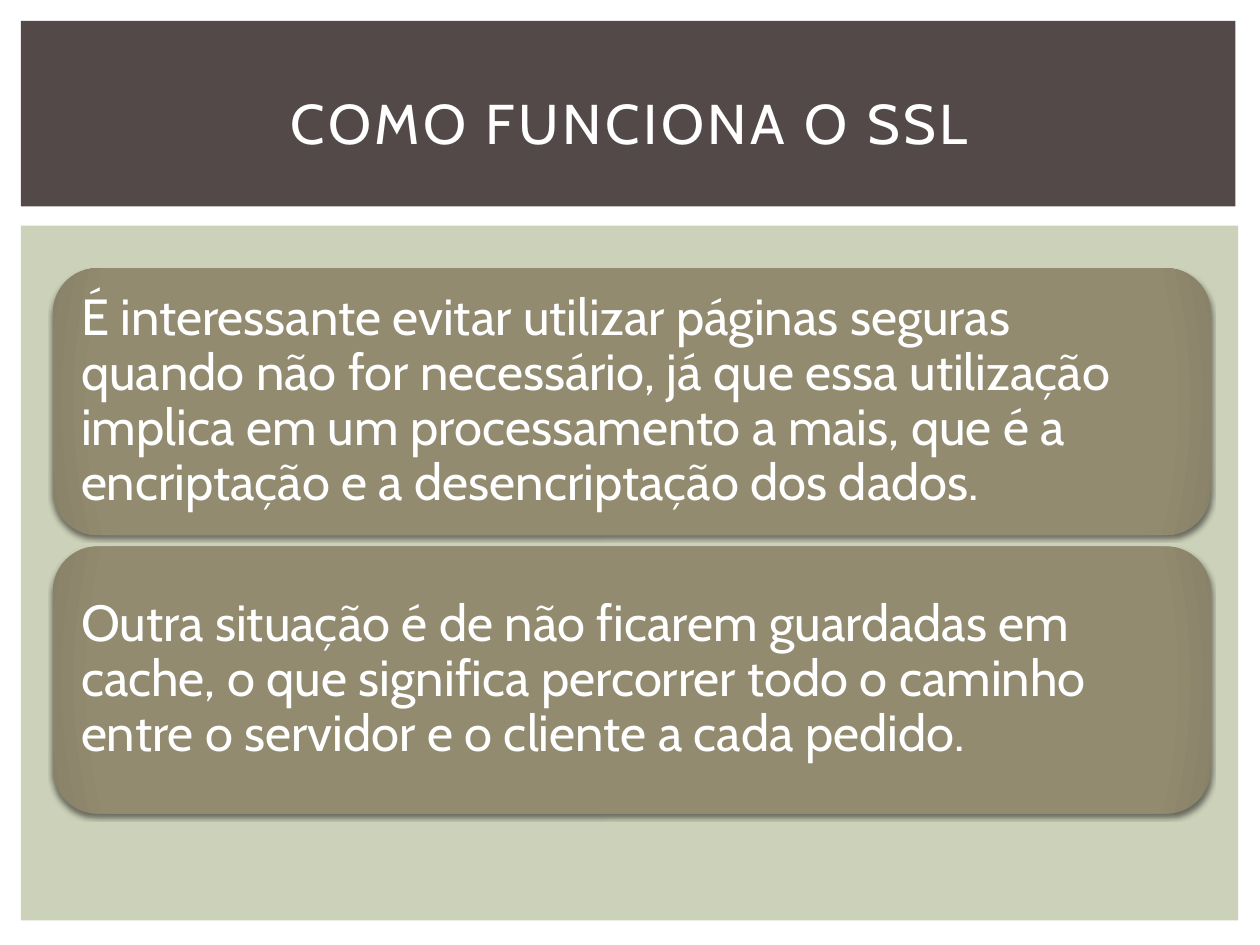
"""Build the slide on when to avoid SSL pages."""
from lxml import etree
from pptx import Presentation
from pptx.dml.color import RGBColor
from pptx.enum.shapes import MSO_SHAPE
from pptx.enum.text import MSO_ANCHOR, PP_ALIGN
from pptx.oxml import parse_xml
from pptx.oxml.ns import nsdecls, qn
from pptx.util import Pt

RECTANGLE = MSO_SHAPE.RECTANGLE
ROUNDED = MSO_SHAPE.ROUNDED_RECTANGLE
MIDDLE = MSO_ANCHOR.MIDDLE
LEFT, CENTER = PP_ALIGN.LEFT, PP_ALIGN.CENTER

FONT = "Cabin"
WHITE, PANEL, BANNER = "FFFFFF", "CCD1B9", "534949"
CARD, CARD_EDGE, SHADOW = "928B70", "888268", "000000"
CARD_LEFT, CARD_TOP, CARD_WIDTH, CARD_HEIGHT = 30.2, 153.2, 661.7, 152.6
CARD_PITCH, CARD_INSET = 159.1, 7.4
STATEMENTS = (
    "É interessante evitar utilizar páginas seguras quando não for necessário, "
    "já que essa utilização implica em um processamento a mais, que é a "
    "encriptação e a desencriptação dos dados.",
    "Outra situação é de não ficarem guardadas em cache, o que significa "
    "percorrer todo o caminho entre o servidor e o cliente a cada pedido.",
)


def color(hex_string):
    """Turn a hex string into a colour."""
    return RGBColor.from_string(hex_string)


def add_block(page, kind, left, top, width, height, fill):
    """Add a filled shape with no line and no shadow."""
    block = page.shapes.add_shape(kind, Pt(left), Pt(top), Pt(width), Pt(height))
    block.shadow.inherit = False
    block.fill.solid()
    block.fill.fore_color.rgb = color(fill)
    block.line.fill.background()
    return block


def add_text(page, text, left, top, width, height, *, size, align=LEFT,
             inset=(7.2, 3.6), line_spacing=1.0, tracking=0):
    """Add a wrapped, vertically centred text box."""
    box = page.shapes.add_textbox(Pt(left), Pt(top), Pt(width), Pt(height))
    frame = box.text_frame
    frame.word_wrap = True
    frame.vertical_anchor = MIDDLE
    frame.margin_left = frame.margin_right = Pt(inset[0])
    frame.margin_top = frame.margin_bottom = Pt(inset[1])
    para = frame.paragraphs[0]
    para.alignment = align
    para.line_spacing = line_spacing
    span = para.add_run()
    span.text = text
    span.font.name = FONT
    span.font.size = Pt(size)
    span.font.color.rgb = color(WHITE)
    if tracking:
        span.font._element.set("spc", str(tracking * 100))
    return box


def shade_radially(block, stops):
    """Replace the solid fill with a circular gradient."""
    marks = "".join(
        f'<a:gs pos="{position * 1000}"><a:srgbClr val="{tint}"/></a:gs>'
        for position, tint in stops)
    gradient = parse_xml(
        f'<a:gradFill {nsdecls("a")} rotWithShape="1"><a:gsLst>{marks}</a:gsLst>'
        '<a:path path="circle"><a:fillToRect l="100000" t="100000" '
        'r="100000" b="100000"/></a:path></a:gradFill>')
    properties = block._element.spPr
    properties.replace(properties.find(qn("a:solidFill")), gradient)


def drop_shadow(block):
    """Give the shape a soft shadow below it."""
    effects = block._element.spPr.find(qn("a:effectLst"))
    shadow = etree.SubElement(
        effects, qn("a:outerShdw"), blurRad=str(Pt(2.5)), dist=str(Pt(2)),
        dir="5400000", rotWithShape="0")
    tint = etree.SubElement(shadow, qn("a:srgbClr"), val=SHADOW)
    etree.SubElement(tint, qn("a:alpha"), val="50000")


def add_card(page, text, top):
    """Add a rounded card with its statement."""
    card = add_block(page, ROUNDED, CARD_LEFT, top, CARD_WIDTH, CARD_HEIGHT, CARD)
    shade_radially(card, ((0, CARD), (90, CARD), (100, CARD_EDGE)))
    drop_shadow(card)
    add_text(page, text, CARD_LEFT + CARD_INSET, top + CARD_INSET,
             CARD_WIDTH - 2 * CARD_INSET, CARD_HEIGHT - 2 * CARD_INSET,
             size=29, inset=(8.7, 8.7), line_spacing=0.9)


def main():
    """Build and save the deck."""
    deck = Presentation()
    deck.slide_width, deck.slide_height = Pt(720), Pt(540)
    page = deck.slides.add_slide(deck.slide_layouts[6])
    add_block(page, RECTANGLE, 12, 128.9, 695.5, 397.1, PANEL)
    add_block(page, RECTANGLE, 12, 12, 694, 106, BANNER)
    add_text(page, "COMO FUNCIONA O SSL", 30, 28, 660, 83,
             size=32, align=CENTER, tracking=2)
    for index, statement in enumerate(STATEMENTS):
        add_card(page, statement, CARD_TOP + index * CARD_PITCH)
    deck.save("out.pptx")


if __name__ == "__main__":
    main()
